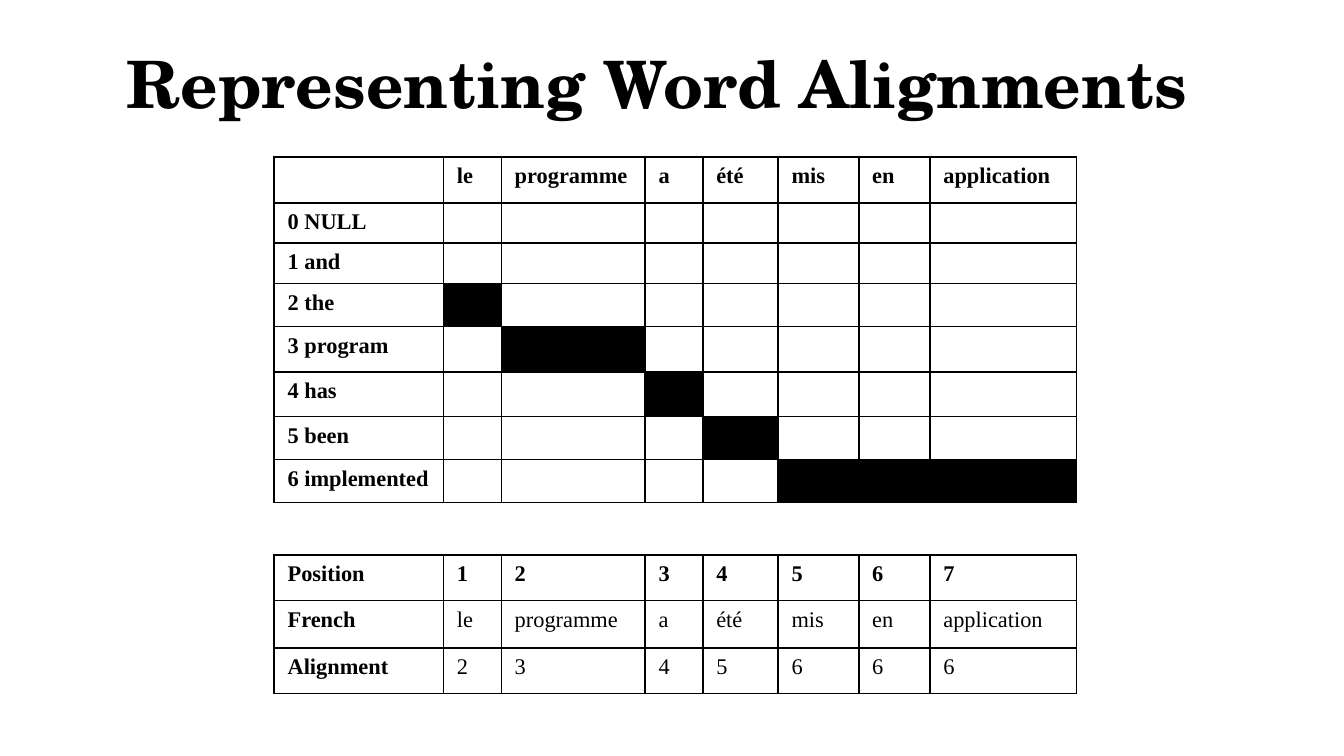
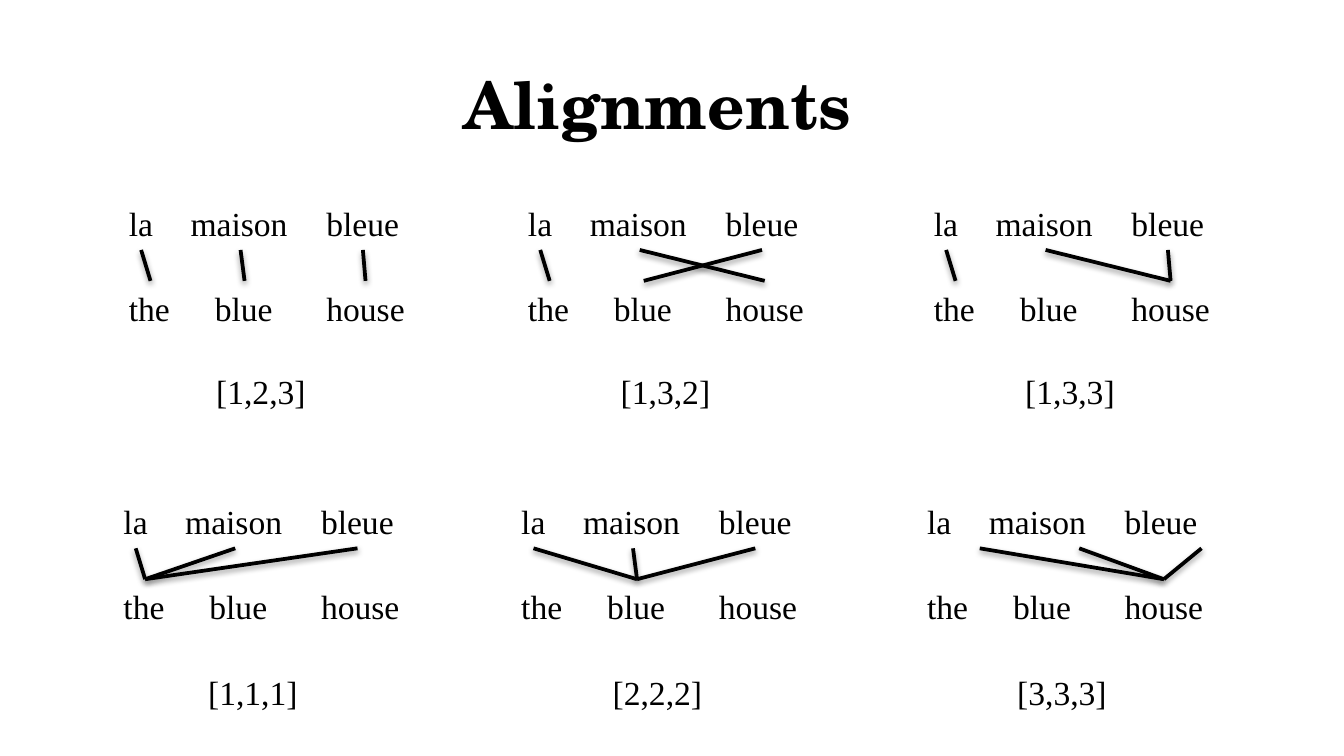
import pptx
import pptx.dml.color
import pptx.enum.shapes
import pptx.enum.text
import pptx.oxml
import pptx.oxml.ns
import pptx.util

Inches = pptx.util.Inches
Pt = pptx.util.Pt

BLACK = "000000"
TITLE_FONT = "TeX Gyre Schola"
BODY_FONT = "Times New Roman"
TABLE_SIZE = 12

FRENCH = ["le", "programme", "a", "été", "mis", "en", "application"]
ENGLISH = ["NULL", "and", "the", "program", "has", "been", "implemented"]
ALIGNMENT = [2, 3, 4, 5, 6, 6, 6]
COLUMN_WIDTHS = [1.26, 0.43, 1.07, 0.43, 0.56, 0.6, 0.53, 1.09]
GRID_HEIGHTS = [0.34, 0.3, 0.3, 0.32, 0.34, 0.33, 0.32, 0.32]
SUMMARY_HEIGHTS = [0.34, 0.35, 0.34]

# Each word: text, offset from the left of its example, box width, offset of its line end.
SOURCE_WORDS = [("la", 0, 0.38, 0.19), ("maison", 0.46, 0.93, 0.93), ("bleue", 1.47, 0.75, 1.84)]
TARGET_WORDS = [("the", 0, 0.51, 0.26), ("blue", 0.64, 0.64, 0.96), ("house", 1.47, 0.79, 1.86)]
WORD_HEIGHT = 0.4
TARGET_DROP = 0.63
LABEL_PITCH = 3.01

# Each row: top, label left, label top, then examples of left, alignment and line start shift.
EXAMPLE_ROWS = [
    (1.46, 1.51, 2.71, [(0.86, [1, 2, 3], 0), (3.83, [1, 3, 2], 0), (6.85, [1, 3, 3], 0)]),
    (3.68, 1.45, 4.95, [(0.82, [1, 1, 1], 0), (3.78, [2, 2, 2], 0), (6.8, [3, 3, 3], 0.3)]),
]


def color(value):
    """Turn a hex string into a colour."""
    return pptx.dml.color.RGBColor.from_string(value)


def write(paragraph, text, size=18, font=BODY_FONT, bold=False):
    """Add one formatted span of text to a paragraph."""
    span = paragraph.add_run()
    span.text = text
    span.font.name = font
    span.font.size = Pt(size)
    span.font.bold = bold
    span.font.color.rgb = color(BLACK)


def add_title(page, text, top):
    """Add the centred slide title."""
    box = page.shapes.add_textbox(Inches(0.28), Inches(top), Inches(9.22), Inches(0.77))
    frame = box.text_frame
    frame.word_wrap = True
    frame.vertical_anchor = pptx.enum.text.MSO_ANCHOR.TOP
    frame.paragraphs[0].alignment = pptx.enum.text.PP_ALIGN.CENTER
    write(frame.paragraphs[0], text, size=35, font=TITLE_FONT, bold=True)


def add_word(page, text, left, top, width):
    """Add a short unwrapped text that sizes its own box."""
    box = page.shapes.add_textbox(Inches(left), Inches(top), Inches(width), Inches(WORD_HEIGHT))
    box.text_frame.word_wrap = False
    box.text_frame.auto_size = pptx.enum.text.MSO_AUTO_SIZE.SHAPE_TO_FIT_TEXT
    write(box.text_frame.paragraphs[0], text)


def add_link(page, start, end):
    """Add an alignment line with a soft shadow below it."""
    points = [Inches(value) for value in (*start, *end)]
    link = page.shapes.add_connector(pptx.enum.shapes.MSO_CONNECTOR.STRAIGHT, *points)
    link.line.color.rgb = color(BLACK)
    link.line.width = Pt(2)
    link._element.spPr.append(pptx.oxml.parse_xml(
        f'<a:effectLst {pptx.oxml.ns.nsdecls("a")}>'
        '<a:outerShdw blurRad="40000" dist="20000" dir="5400000" rotWithShape="0">'
        f'<a:srgbClr val="{BLACK}"><a:alpha val="38000"/></a:srgbClr>'
        '</a:outerShdw></a:effectLst>'))


def add_borders(cell):
    """Draw a thin black line on each side of a cell."""
    properties = cell._tc.get_or_add_tcPr()
    for side in ("lnL", "lnR", "lnT", "lnB"):
        properties.append(pptx.oxml.parse_xml(
            f'<a:{side} {pptx.oxml.ns.nsdecls("a")} w="{Pt(1)}"><a:solidFill>'
            f'<a:srgbClr val="{BLACK}"/></a:solidFill></a:{side}>'))


def fill_cell(cell, text, bold, filled):
    """Set the borders, fill and text of a cell."""
    add_borders(cell)
    if filled:
        cell.fill.solid()
        cell.fill.fore_color.rgb = color(BLACK)
    else:
        cell.fill.background()
    paragraph = cell.text_frame.paragraphs[0]
    if text:
        write(paragraph, text, size=TABLE_SIZE, bold=bold)
    else:
        paragraph._p.get_or_add_endParaRPr().set("sz", str(TABLE_SIZE * 100))


def add_word_table(page, top, heights, rows, filled=()):
    """Add a table with a bold first row and column, blackening the filled positions."""
    frame = page.shapes.add_table(len(rows), len(COLUMN_WIDTHS), Inches(2.04), Inches(top),
                                  Inches(sum(COLUMN_WIDTHS)), Inches(sum(heights)))
    table = frame.table
    table.first_row = table.horz_banding = False
    for column, width in zip(table.columns, COLUMN_WIDTHS):
        column.width = Inches(width)
    for row, height in zip(table.rows, heights):
        row.height = Inches(height)
    for i, texts in enumerate(rows):
        for j, text in enumerate(texts):
            fill_cell(table.cell(i, j), text, i == 0 or j == 0, (i, j) in filled)


def add_example(page, left, top, alignment, shift):
    """Add a word pair diagram whose lines follow the alignment."""
    target_top = top + TARGET_DROP
    for words, word_top in ((SOURCE_WORDS, top), (TARGET_WORDS, target_top)):
        for text, offset, width, _ in words:
            add_word(page, text, left + offset, word_top, width)
    for source, position in zip(SOURCE_WORDS, alignment):
        target = TARGET_WORDS[position - 1]
        add_link(page, (left + source[3] + shift, top + WORD_HEIGHT),
                 (left + target[3], target_top))


def build_representation(page):
    """Build the slide with the alignment grid and its summary."""
    add_title(page, "Representing Word Alignments", 0.27)
    blanks = [""] * len(FRENCH)
    grid = [["", *FRENCH]]
    grid += [[f"{number} {word}", *blanks] for number, word in enumerate(ENGLISH)]
    filled = {(row + 1, column) for column, row in enumerate(ALIGNMENT, 1)}
    add_word_table(page, 1.17, GRID_HEIGHTS, grid, filled)
    summary = [
        ["Position", *(str(number) for number in range(1, len(FRENCH) + 1))],
        ["French", *FRENCH],
        ["Alignment", *(str(number) for number in ALIGNMENT)],
    ]
    add_word_table(page, 4.13, SUMMARY_HEIGHTS, summary)


def build_alignments(page):
    """Build the slide with six example alignments."""
    add_title(page, "Alignments", 0.43)
    for top, label_left, label_top, examples in EXAMPLE_ROWS:
        for column, (left, alignment, shift) in enumerate(examples):
            add_example(page, left, top, alignment, shift)
            label = f"[{','.join(map(str, alignment))}]"
            add_word(page, label, label_left + column * LABEL_PITCH, label_top, 0.88)


def main():
    """Build and save the deck."""
    deck = pptx.Presentation()
    deck.slide_width = Inches(10)
    deck.slide_height = Inches(10 * 9 / 16)
    for build in (build_representation, build_alignments):
        build(deck.slides.add_slide(deck.slide_layouts[6]))
    deck.save("out.pptx")


if __name__ == "__main__":
    main()
